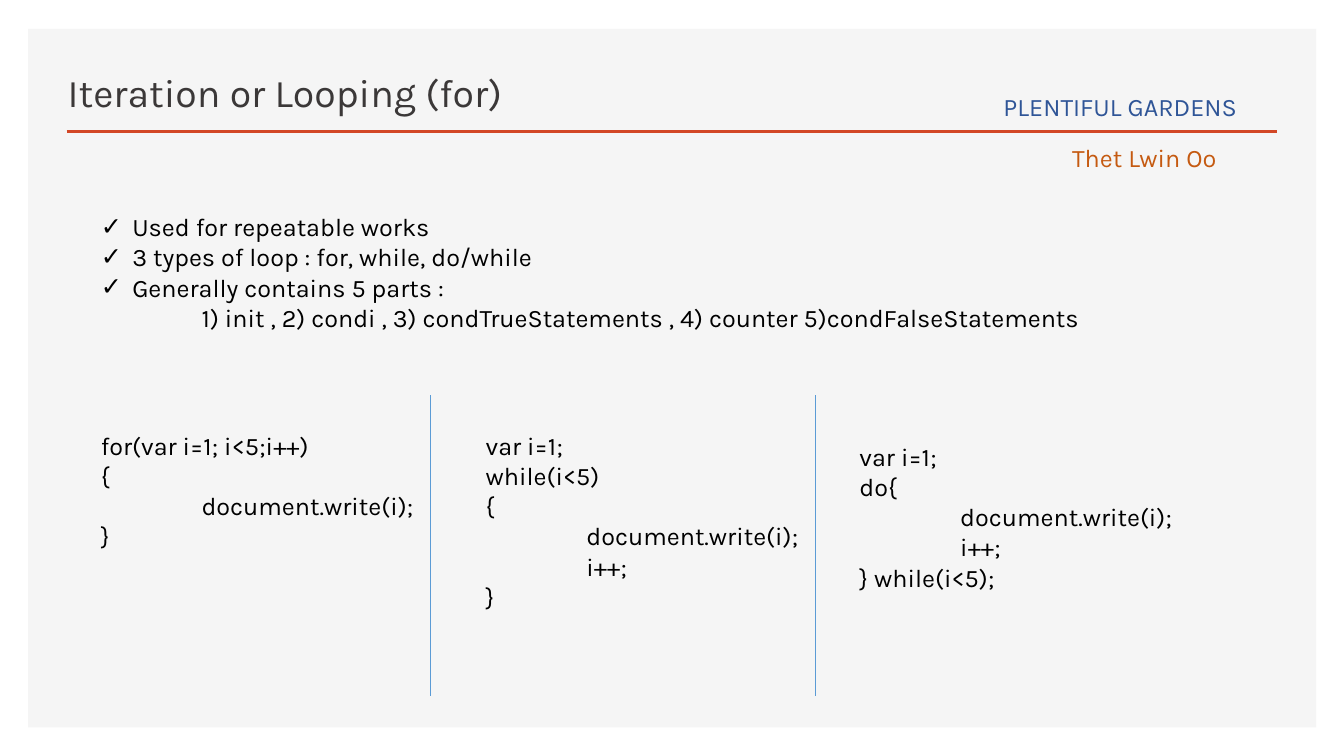
from lxml.etree import SubElement
from pptx import Presentation
from pptx.dml.color import RGBColor
from pptx.enum.shapes import MSO_CONNECTOR, MSO_SHAPE
from pptx.enum.text import MSO_ANCHOR as Anchor, MSO_AUTO_SIZE as AutoSize, PP_ALIGN as Align
from pptx.oxml.ns import qn
from pptx.util import Cm, Pt

FONT = "Karla"
BLACK, ACCENT, DIVIDER = "000000", "D24726", "5B9BD5"
TAB_SIZE = Cm(2.54)
CHECK_INDENT = Cm(0.79)


def color(hex_code):
    return RGBColor.from_string(hex_code)


def place(shape, box):
    shape.left, shape.top, shape.width, shape.height = (Cm(length) for length in box)


def set_bullet(paragraph, bullet):
    """Set the bullet (or none) with its hanging indent, and the tab size."""
    props = paragraph._p.get_or_add_pPr()
    indent = CHECK_INDENT if bullet else 0
    props.set("marL", str(indent))
    props.set("indent", str(-indent))
    props.set("defTabSz", str(TAB_SIZE))
    if bullet:
        SubElement(props, qn("a:buChar"), char=bullet)
    else:
        SubElement(props, qn("a:buNone"))


def write(shape, text, size=18, ink=BLACK, anchor=Anchor.TOP, bullet=None):
    """Write one paragraph per line; lines that open with a tab get no bullet."""
    frame = shape.text_frame
    frame.word_wrap = True
    frame.auto_size = AutoSize.NONE
    frame.vertical_anchor = anchor
    for index, line in enumerate(text.split("\n")):
        paragraph = frame.add_paragraph() if index else frame.paragraphs[0]
        paragraph.alignment = Align.LEFT
        paragraph.line_spacing = 1.0
        paragraph.space_before = paragraph.space_after = Pt(0)
        set_bullet(paragraph, None if line.startswith("\t") else bullet)
        run = paragraph.add_run()
        run.text = line
        run.font.name, run.font.size = FONT, Pt(size)
        run.font.color.rgb = color(ink)


def add_text(slide, box, text, **style):
    textbox = slide.shapes.add_textbox(*(Cm(length) for length in box))
    write(textbox, text, **style)


def add_rule(slide, start, end, ink, width):
    rule = slide.shapes.add_connector(
        MSO_CONNECTOR.STRAIGHT, *(Cm(length) for length in start + end))
    rule.line.color.rgb = color(ink)
    rule.line.width = Pt(width)
    SubElement(rule._element.spPr, qn("a:effectLst"))


def add_panel(slide, box):
    panel = slide.shapes.add_shape(MSO_SHAPE.RECTANGLE, *(Cm(length) for length in box))
    panel.shadow.inherit = False
    panel.fill.solid()
    panel.fill.fore_color.rgb = color("F5F5F5")
    panel.line.fill.background()
    # Send behind the placeholders
    slide.shapes._spTree.insert(2, panel._element)


def add_header(slide, box):
    left, top, width, height = box
    rule_y = top + height
    place(slide.shapes.title, (left - 0.23, top, 19.1, 1.78))
    write(slide.shapes.title, "Iteration or Looping (for)",
          size=28, ink="3B3838", anchor=Anchor.BOTTOM)
    add_rule(slide, (left, rule_y), (left + width, rule_y), ACCENT, 2)
    add_text(slide, (left + 23.36, rule_y - 1.13, 7.11, 1.02),
             "PLENTIFUL GARDENS", ink="2F5597")
    add_text(slide, (left + 25.09, rule_y + 0.16, 4.27, 1.02),
             "Thet Lwin Oo", ink="C55A11")


def add_facts(slide, box):
    facts = slide.placeholders[1]
    place(facts, box)
    write(facts, "Used for repeatable works\n"
                 "3 types of loop : for, while, do/while\n"
                 "Generally contains 5 parts : \n"
                 "\t1) init , 2) condi , 3) condTrueStatements , "
                 "4) counter 5)condFalseStatements", bullet="✓")


def add_loops(slide, box):
    """Place the three code samples, with a divider after the first two."""
    left, top, width, height = box
    # Offset of each sample from the box, then its code
    samples = [
        (0, 0.75, "for(var i=1; i<5;i++)\n{\n\tdocument.write(i);\n}"),
        (9.7, 0.75, "var i=1;\nwhile(i<5)\n{\n\tdocument.write(i);\n\ti++;\n}"),
        (19.12, 1.03, "var i=1;\ndo{\n\tdocument.write(i);\n\ti++;\n} while(i<5);"),
    ]
    sample_width = 8.56
    for offset_x, offset_y, code in samples:
        code_height = 0.25 + 0.77 * len(code.split("\n"))
        add_text(slide, (left + offset_x, top + offset_y, sample_width, code_height), code)
    for offset_x, _, _ in samples[:-1]:
        divider_x = left + offset_x + sample_width
        add_rule(slide, (divider_x, top), (divider_x, top + height), DIVIDER, 0.5)


def build_loop_slide(deck):
    slide = deck.slides.add_slide(deck.slide_layouts[1])
    add_panel(slide, (0.71, 0.73, 32.46, 17.6))
    add_header(slide, (1.68, 1.25, 30.5, 2.06))
    add_facts(slide, (2.29, 5.2, 25.68, 3.33))
    add_loops(slide, (2.29, 9.96, 27.68, 7.59))


deck = Presentation()
deck.slide_width, deck.slide_height = Cm(33.87), Cm(19.05)
build_loop_slide(deck)
deck.save("out.pptx")
